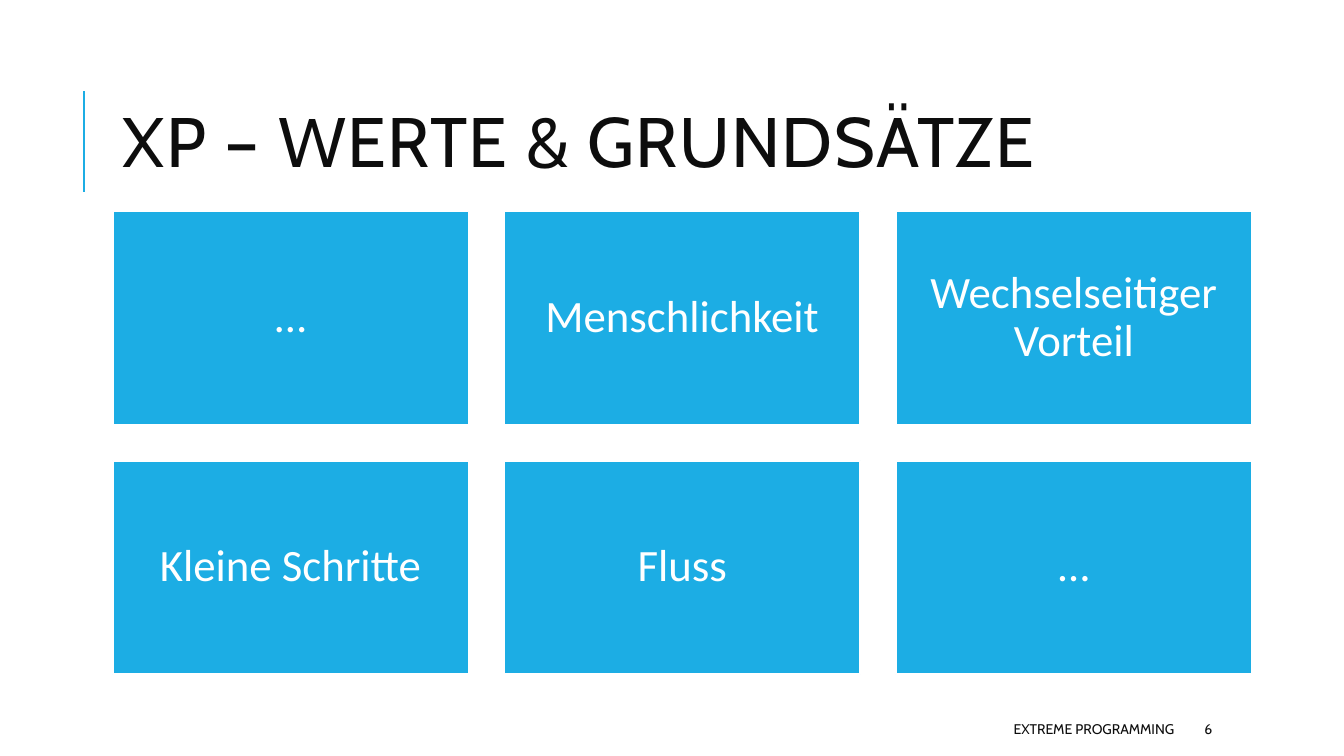
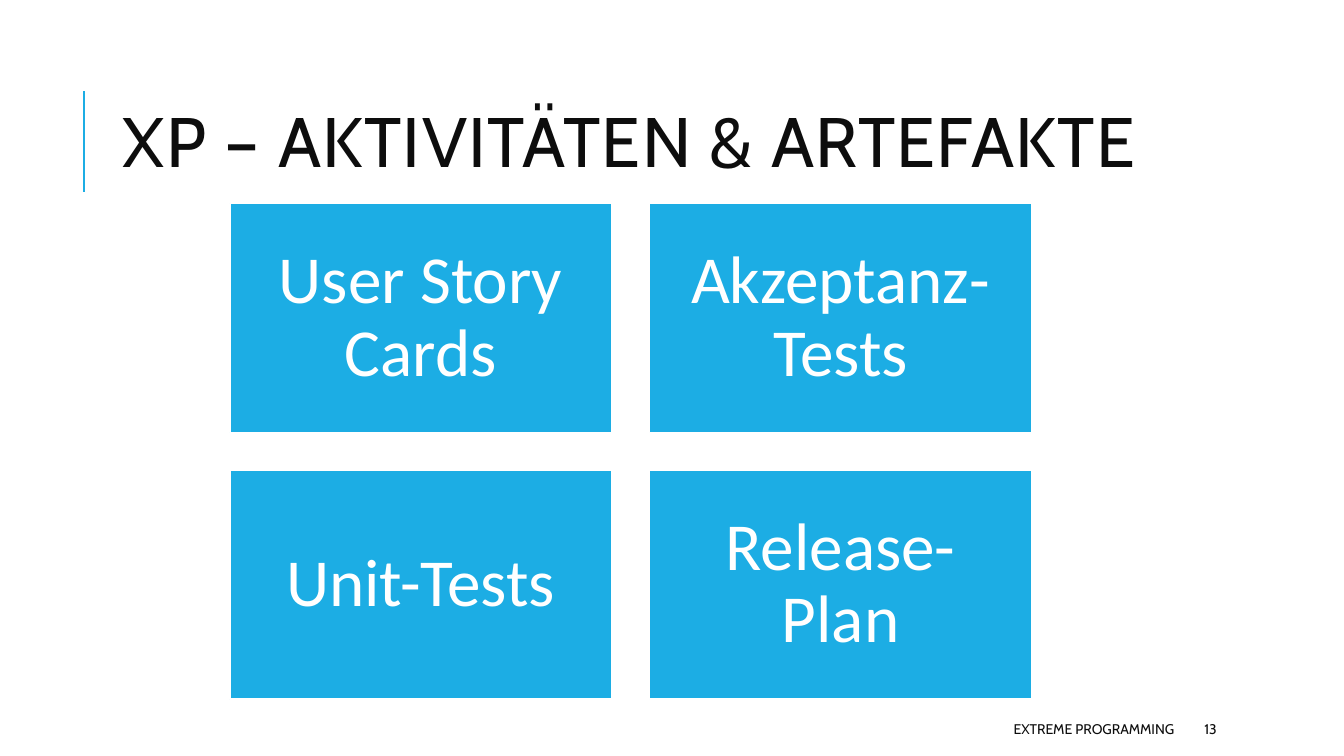
from pptx import Presentation
from pptx.dml.color import RGBColor
from pptx.enum.shapes import MSO_CONNECTOR, MSO_SHAPE
from pptx.enum.text import MSO_ANCHOR, MSO_AUTO_SIZE, PP_ALIGN
from pptx.oxml.ns import qn
from pptx.util import Cm, Pt
from lxml import etree

LEFT, CENTER, RIGHT = PP_ALIGN.LEFT, PP_ALIGN.CENTER, PP_ALIGN.RIGHT
MIDDLE = MSO_ANCHOR.MIDDLE
NO_FIT = MSO_AUTO_SIZE.NONE
RECTANGLE = MSO_SHAPE.RECTANGLE
STRAIGHT = MSO_CONNECTOR.STRAIGHT

BLUE = RGBColor(0x1C, 0xAD, 0xE4)
INK = RGBColor(0x0D, 0x0D, 0x0D)
WHITE = RGBColor(0xFF, 0xFF, 0xFF)
HEAD_FONT, BODY_FONT = "Cabin", "Calibri"
FOOTER = "EXTREME PROGRAMMING"
TITLE_ONLY = 5

SLIDES = [
    {
        "title": "XP – WERTE & GRUNDSÄTZE",
        "number": "6",
        "cards": ["…", "Menschlichkeit", "Wechselseitiger Vorteil",
                  "Kleine Schritte", "Fluss", "…"],
        "columns": 3, "origin": (2.84, 5.33), "card": (8.97, 5.38),
        "gap": 0.9, "inset": 0.34, "size": 32,
    },
    {
        "title": "XP – AKTIVITÄTEN & ARTEFAKTE",
        "number": "13",
        "cards": ["User Story Cards", "Akzeptanz-Tests",
                  "Unit-Tests", "Release-Plan"],
        "columns": 2, "origin": (5.79, 5.13), "card": (9.63, 5.77),
        "gap": 0.95, "inset": 0.51, "size": 48,
    },
]


def write(shape, text, font, size, color, align, spacing=1.0):
    tf = shape.text_frame
    tf.word_wrap = True
    tf.auto_size = NO_FIT
    tf.vertical_anchor = MIDDLE
    p = tf.paragraphs[0]
    p.alignment = align
    p.line_spacing = spacing
    r = p.add_run()
    r.text = text
    r.font.name = font
    r.font.size = Pt(size)
    r.font.color.rgb = color
    return r


def add_title(s, text):
    bar = s.shapes.add_connector(STRAIGHT, Cm(2.11), Cm(4.83), Cm(2.11), Cm(2.29))
    bar.line.color.rgb = BLUE
    bar.line.width = Pt(1.5)
    etree.SubElement(bar.element.spPr, qn("a:effectLst"))
    title = s.shapes.title
    title.left, title.top = Cm(2.84), Cm(1.63)
    title.width, title.height = Cm(27), Cm(4.17)
    r = write(title, text, HEAD_FONT, 50, INK, LEFT, 0.8)
    r.font._element.set("spc", "100")


def add_cards(s, data):
    left, top = data["origin"]
    width, height = data["card"]
    for i, text in enumerate(data["cards"]):
        row, column = divmod(i, data["columns"])
        card = s.shapes.add_shape(
            RECTANGLE,
            Cm(left + column * (width + data["gap"])),
            Cm(top + row * (height + data["gap"])),
            Cm(width), Cm(height))
        card.shadow.inherit = False
        card.fill.solid()
        card.fill.fore_color.rgb = BLUE
        card.line.color.rgb = WHITE
        card.line.width = Pt(1.25)
        tf = card.text_frame
        tf.margin_left = tf.margin_right = Cm(data["inset"])
        tf.margin_top = tf.margin_bottom = Cm(data["inset"])
        write(card, text, BODY_FONT, data["size"], WHITE, CENTER, 0.9)


def add_footer(s, number):
    for text, left, width, align in [(FOOTER, 13.46, 16.38, RIGHT),
                                     (number, 30.1, 2.69, LEFT)]:
        box = s.shapes.add_textbox(Cm(left), Cm(17.98), Cm(width), Cm(0.76))
        write(box, text, HEAD_FONT, 10, INK, align)


def main():
    prs = Presentation()
    prs.slide_width, prs.slide_height = Cm(33.87), Cm(19.05)
    for data in SLIDES:
        s = prs.slides.add_slide(prs.slide_layouts[TITLE_ONLY])
        add_title(s, data["title"])
        add_cards(s, data)
        add_footer(s, data["number"])
    prs.save("out.pptx")


if __name__ == "__main__":
    main()
